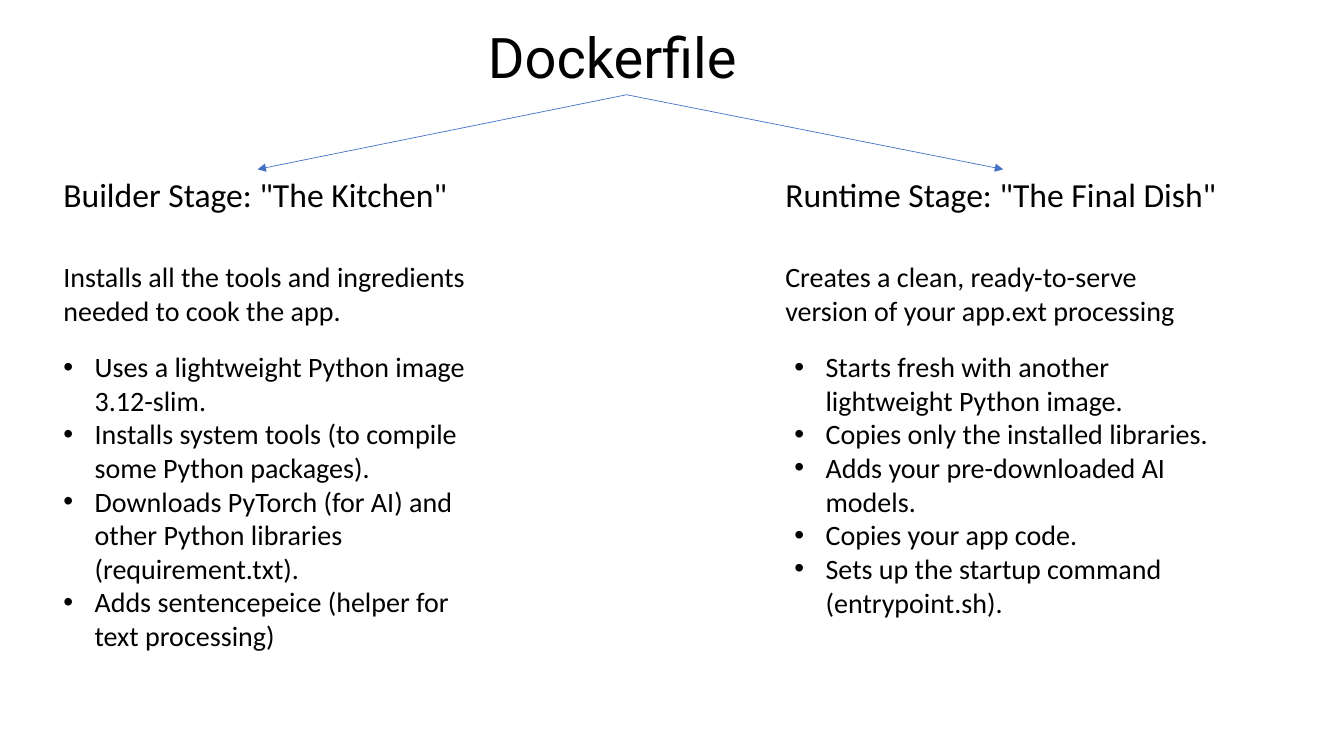
from pptx import Presentation
from pptx import util as u
from pptx.dml.color import RGBColor
from pptx.enum import shapes, text
from pptx.oxml.ns import qn
from lxml import etree

PX = 9144
BLACK = RGBColor(0, 0, 0)
BLUE = RGBColor(0x44, 0x72, 0xC4)
INDENT = 31

LEFT = (
    'Builder Stage: "The Kitchen"',
    "Installs all the tools and ingredients needed to cook the app.",
    ["Uses a lightweight Python image 3.12-slim.",
     "Installs system tools (to compile some Python packages).",
     "Downloads PyTorch (for AI) and other Python libraries (requirement.txt).",
     "Adds sentencepeice (helper for text processing)"],
)
RIGHT = (
    'Runtime Stage: "The Final Dish"',
    "Creates a clean, ready-to-serve version of your app.ext processing",
    ["Starts fresh with another lightweight Python image.",
     "Copies only the installed libraries.",
     "Adds your pre-downloaded AI models.",
     "Copies your app code.",
     "Sets up the startup command (entrypoint.sh)."],
)


def px(n):
    """Turn px into EMU."""
    return u.Emu(n * PX)


def write(slide, box, lines, size, font="Calibri", wrap=True):
    """Add a text box with one paragraph per line."""
    shape = slide.shapes.add_textbox(*map(px, box))
    frame = shape.text_frame
    frame.word_wrap = wrap
    frame.auto_size = text.MSO_AUTO_SIZE.SHAPE_TO_FIT_TEXT
    frame.text = "\n".join(lines)
    for para in frame.paragraphs:
        para.font.size = u.Pt(size)
        para.font.name = font
        para.font.color.rgb = BLACK
    return shape


def bullet(para):
    """Give a paragraph a hanging round bullet."""
    props = para._p.get_or_add_pPr()
    props.set("marL", str(px(INDENT)))
    props.set("indent", str(-px(INDENT)))
    mark = etree.Element(qn("a:buFont"), typeface="Arial")
    props.insert(0, mark)
    mark.addnext(etree.Element(qn("a:buChar"), char="•"))


def stage(slide, box, copy, width, shift=0):
    """Place a stage's heading, summary and bullets; return the heading."""
    x, y, w, h = box
    name, lead, steps = copy
    head = write(slide, (x, y, width, 50), [name], 24, wrap=False)
    para = head.text_frame.paragraphs[0]
    para.space_before = u.Pt(13.7)
    para.space_after = u.Pt(10.3)
    write(slide, (x, y + 85, w, 77), [lead], 20)
    body = write(slide, (x + shift, y + 174, w, h - 174), steps, 20)
    for para in body.text_frame.paragraphs:
        bullet(para)
    return head


def arrow(slide, start, end):
    """Join the bottom of one box to the top of another."""
    line = slide.shapes.add_connector(shapes.MSO_CONNECTOR.STRAIGHT, 0, 0, 0, 0)
    line.begin_connect(start, 2)
    line.end_connect(end, 0)
    line.line.color.rgb = BLUE
    line.line.width = u.Pt(0.5)
    etree.SubElement(line.line._get_or_add_ln(), qn("a:tailEnd"), type="triangle")
    etree.SubElement(line._element.spPr, qn("a:effectLst"))


def main():
    """Build the slide and save it."""
    deck = Presentation()
    deck.slide_width, deck.slide_height = px(1333), px(750)
    slide = deck.slides.add_slide(deck.slide_layouts[6])
    title = write(slide, (474, 17, 295, 77), ["Dockerfile"], 40, "Roboto", False)
    heads = [
        stage(slide, (53, 168, 421, 487), LEFT, 405),
        stage(slide, (769, 168, 452, 453), RIGHT, 452, 9),
    ]
    for head in heads:
        arrow(slide, title, head)
    deck.save("out.pptx")


if __name__ == "__main__":
    main()
